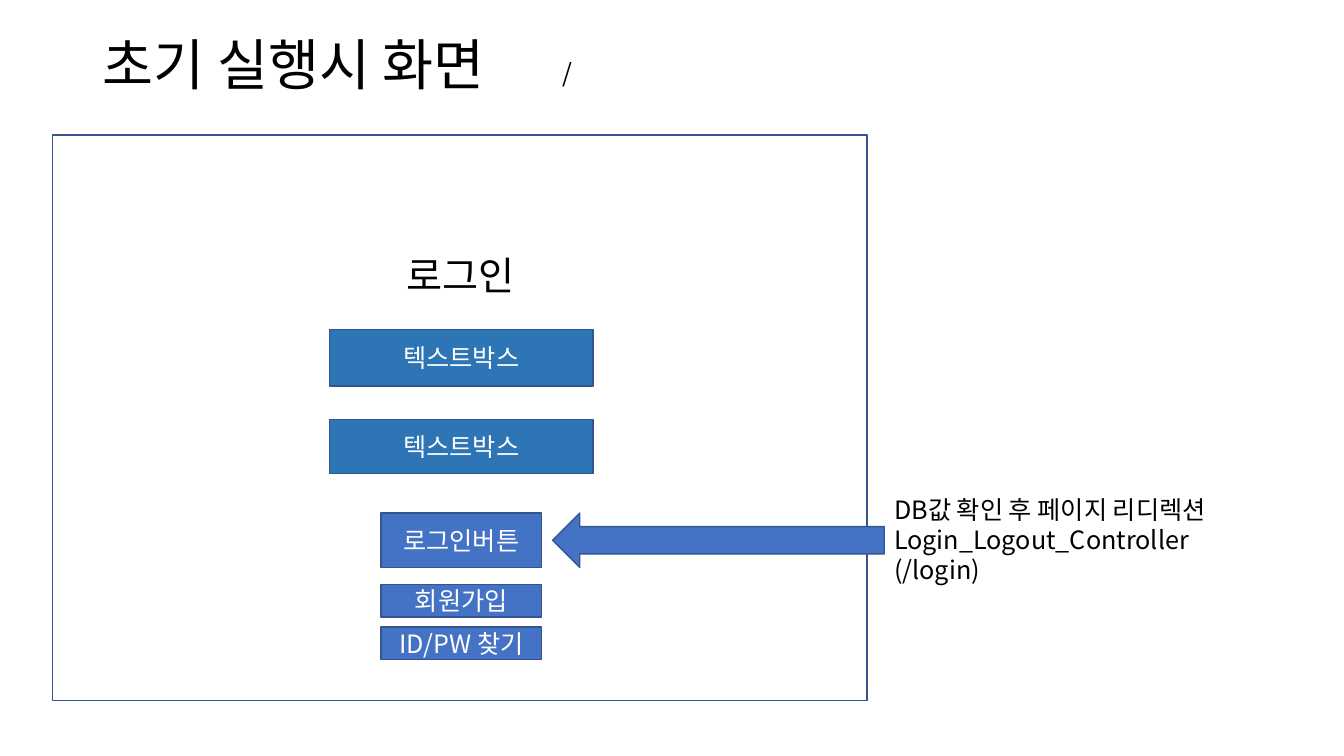
from dataclasses import dataclass

from pptx import Presentation
from pptx.dml.color import RGBColor
from pptx.enum.shapes import MSO_SHAPE
from pptx.enum.text import MSO_ANCHOR, MSO_AUTO_SIZE, PP_ALIGN
from pptx.oxml.ns import qn
from pptx.slide import Slide
from pptx.text.text import TextFrame
from pptx.util import Inches, Pt
from lxml.etree import SubElement


@dataclass(frozen=True)
class Theme:
    font: str = "Noto Sans CJK KR"
    black: str = "000000"
    white: str = "FFFFFF"
    field: str = "2E75B6"
    button: str = "4472C4"
    edge: str = "325491"
    title: float = 39.6
    head: float = 28
    body: float = 18


THEME = Theme()


@dataclass(frozen=True)
class Box:
    left: float
    top: float
    width: float
    height: float
    fill: str = THEME.button
    text: str = ""
    kind: MSO_SHAPE = MSO_SHAPE.RECTANGLE


@dataclass(frozen=True)
class Label:
    left: float
    top: float
    width: float
    height: float
    text: str
    size: float = THEME.body
    align: PP_ALIGN = PP_ALIGN.LEFT


BOXES = [
    Box(0.52, 1.34, 8.08, 5.61, THEME.white),
    Box(3.27, 3.27, 2.61, 0.56, THEME.field, "텍스트박스"),
    Box(3.27, 4.16, 2.61, 0.54, THEME.field, "텍스트박스"),
    Box(3.78, 5.09, 1.59, 0.54, text="로그인버튼"),
    Box(3.78, 5.8, 1.59, 0.32, text="회원가입"),
    Box(3.78, 6.22, 1.59, 0.32, text="ID/PW 찾기"),
    Box(5.48, 5.09, 3.29, 0.54, kind=MSO_SHAPE.LEFT_ARROW),
]
LABELS = [
    Label(3.07, 2.44, 3, 0.57, "로그인", THEME.head, PP_ALIGN.CENTER),
    Label(8.77, 4.85, 4.17, 1.01,
          "DB값 확인 후 페이지 리디렉션\nLogin_Logout_Controller\n(/login)"),
    Label(5.48, 0.52, 3, 0.4, "/"),
]


def write(frame: TextFrame, text: str, size: float, color: str,
          align: PP_ALIGN, anchor: MSO_ANCHOR, space: float = 1.0) -> None:
    frame.text = text
    form = {"word_wrap": True, "auto_size": MSO_AUTO_SIZE.NONE,
            "vertical_anchor": anchor}
    for name, value in form.items():
        setattr(frame, name, value)
    for para in frame.paragraphs:
        para.alignment = align
        para.line_spacing = space
        for run in para.runs:
            run.font.size = Pt(size)
            run.font.color.rgb = RGBColor.from_string(color)
            run.font.name = THEME.font
            east = SubElement(run.font._element, qn("a:ea"))
            east.set("typeface", THEME.font)


def draw_title(slide: Slide, text: str) -> None:
    title = slide.shapes.title
    place = {"left": 0.92, "top": 0.4, "width": 11.5, "height": 0.54}
    for name, value in place.items():
        setattr(title, name, Inches(value))
    write(title.text_frame, text, THEME.title, THEME.black,
          PP_ALIGN.LEFT, MSO_ANCHOR.MIDDLE, 0.9)


def draw_box(slide: Slide, box: Box) -> None:
    shape = slide.shapes.add_shape(
        box.kind, Inches(box.left), Inches(box.top),
        Inches(box.width), Inches(box.height))
    shape.shadow.inherit = False
    shape.fill.solid()
    shape.fill.fore_color.rgb = RGBColor.from_string(box.fill)
    shape.line.color.rgb = RGBColor.from_string(THEME.edge)
    shape.line.width = Pt(1)
    if box.text:
        write(shape.text_frame, box.text, THEME.body, THEME.white,
              PP_ALIGN.CENTER, MSO_ANCHOR.MIDDLE)


def draw_label(slide: Slide, label: Label) -> None:
    shape = slide.shapes.add_textbox(
        Inches(label.left), Inches(label.top),
        Inches(label.width), Inches(label.height))
    write(shape.text_frame, label.text, label.size, THEME.black,
          label.align, MSO_ANCHOR.TOP)


def main() -> None:
    deck = Presentation()
    deck.slide_width = Inches(13.33)
    deck.slide_height = Inches(7.5)
    slide = deck.slides.add_slide(deck.slide_layouts[5])
    draw_title(slide, "초기 실행시 화면")
    for box in BOXES:
        draw_box(slide, box)
    for label in LABELS:
        draw_label(slide, label)
    deck.save("out.pptx")


if __name__ == "__main__":
    main()
